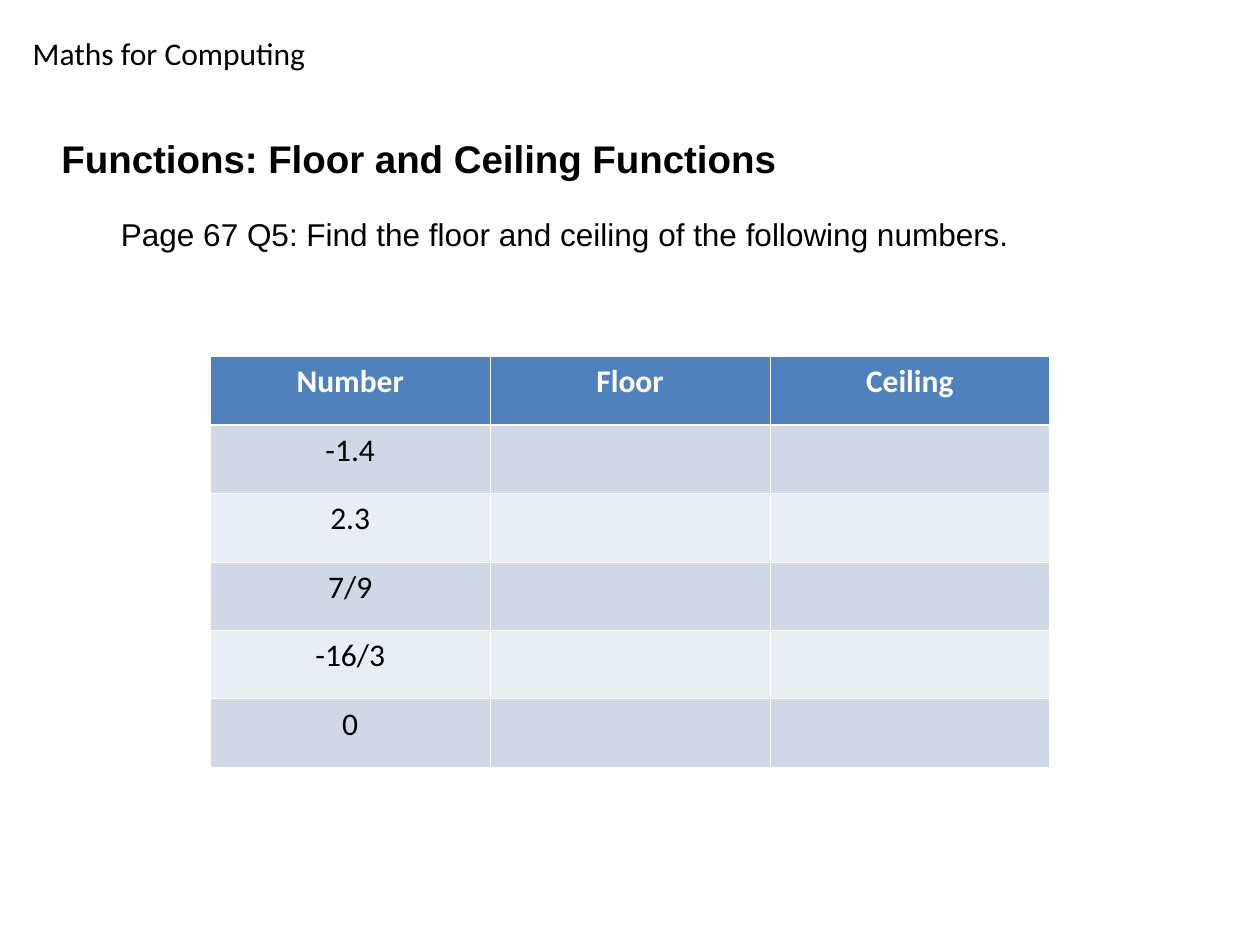
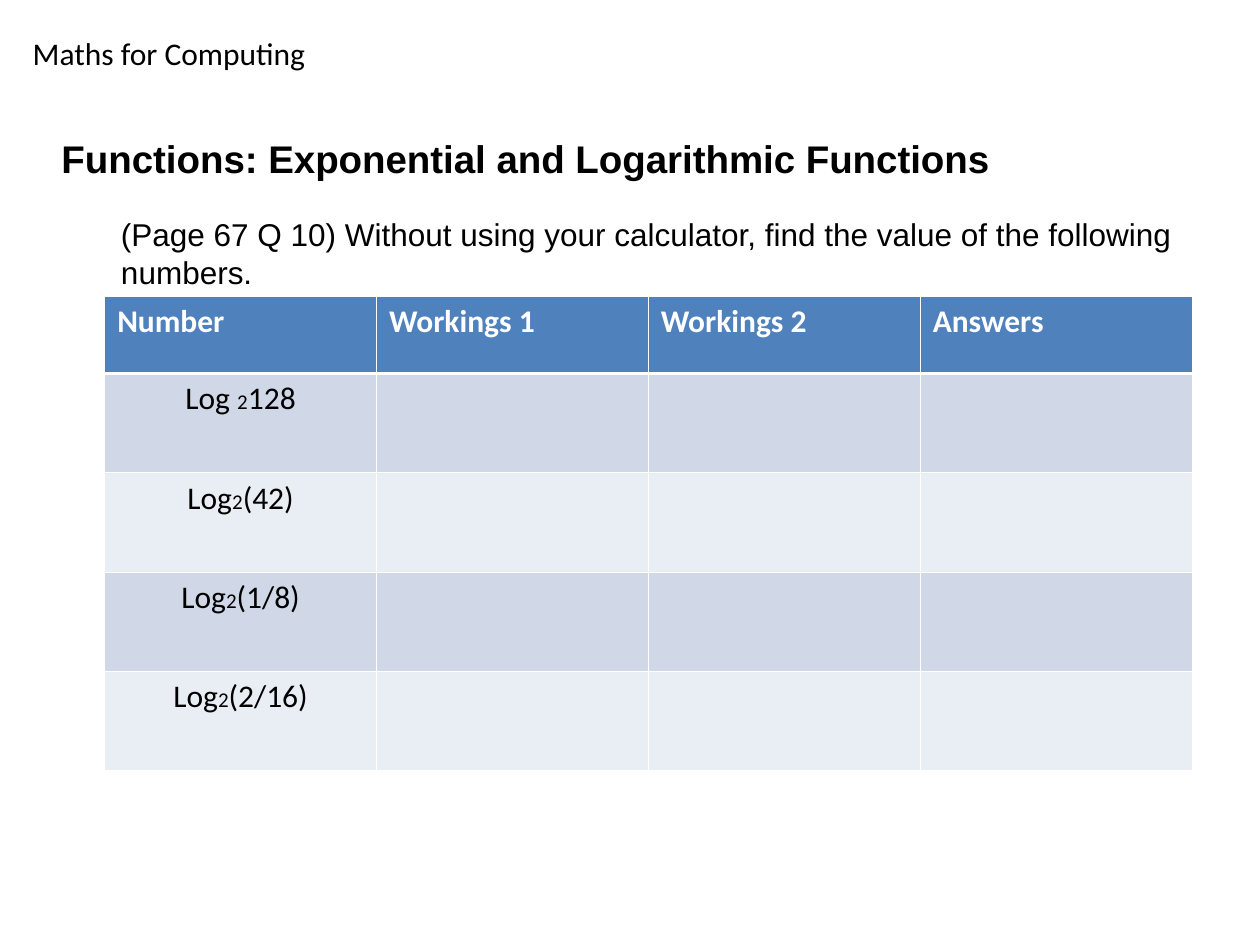
from lxml.etree import SubElement
from pptx import Presentation
from pptx.dml.color import RGBColor
from pptx.enum.text import PP_ALIGN
from pptx.oxml.ns import qn
from pptx.util import Cm, Pt

COLORS = {
    "text": "000000",
    "white": "FFFFFF",
    "header": "4F81BD",
    "odd": "D0D8E8",
    "even": "E9EDF4",
}
THIN, THICK = Pt(0.45), Pt(1.47)
SUBSCRIPT_SIZE = 12


def write(frame, text, font="Calibri", size=18, color="text", bold=False, align=PP_ALIGN.LEFT):
    frame.word_wrap = True
    paragraph = frame.paragraphs[0]
    paragraph.alignment = align
    for position, piece in enumerate(text.split("|")):
        run = paragraph.add_run()
        run.text = piece
        run.font.name = font
        run.font.size = Pt(SUBSCRIPT_SIZE if position % 2 else size)
        run.font.bold = bold
        run.font.color.rgb = RGBColor.from_string(COLORS[color])


def paint(cell, fill, top, bottom):
    properties = cell._tc.get_or_add_tcPr()
    for side, width in (("L", THIN), ("R", THIN), ("T", top), ("B", bottom)):
        line = SubElement(properties, qn(f"a:ln{side}"), w=str(width))
        SubElement(SubElement(line, qn("a:solidFill")), qn("a:srgbClr"), val=COLORS["white"])
    cell.fill.solid()
    cell.fill.fore_color.rgb = RGBColor.from_string(COLORS[fill])


exercises = [
    {
        "title": "Functions: Floor and Ceiling Functions",
        "question": "Page 67 Q5: Find the floor and ceiling of the following numbers.",
        "headings": ["Number", "Floor", "Ceiling"],
        "heading_align": PP_ALIGN.CENTER,
        "numbers": ["-1.4", "2.3", "7/9", "-16/3", "0"],
        "left": 4.24, "top": 7.19, "column": 5.64, "heading_row": 1.38, "row": 1.38,
    },
    {
        "title": "Functions: Exponential and Logarithmic Functions",
        "question": "(Page 67 Q 10) Without using your calculator, "
                    "find the value of the following numbers.",
        "headings": ["Number", "Workings 1", "Workings 2", "Answers"],
        "heading_align": PP_ALIGN.LEFT,
        "numbers": ["Log |2|128", "Log|2|(42)", "Log|2|(1/8)", "Log|2|(2/16)"],
        "left": 2.11, "top": 5.98, "column": 5.48, "heading_row": 1.55, "row": 2,
    },
]

deck = Presentation()
deck.slide_width, deck.slide_height = Cm(25.4), Cm(19.05)

for exercise in exercises:
    slide = deck.slides.add_slide(deck.slide_layouts[6])

    course = slide.shapes.add_textbox(Cm(0.41), Cm(0.56), Cm(17.55), Cm(1.02))
    write(course.text_frame, "Maths for Computing")

    title = slide.shapes.add_textbox(Cm(0.99), Cm(2.59), Cm(20.62), Cm(1.09))
    write(title.text_frame, exercise["title"], font="Arial", size=22, bold=True)

    question = slide.shapes.add_textbox(Cm(0.99), Cm(4.22), Cm(23.24), Cm(14.22))
    question.text_frame.margin_left = Cm(1.45)
    write(question.text_frame, exercise["question"], font="Arial")

    headings, numbers = exercise["headings"], exercise["numbers"]
    answers = slide.shapes.add_table(
        len(numbers) + 1, len(headings),
        Cm(exercise["left"]), Cm(exercise["top"]),
        Cm(exercise["column"] * len(headings)),
        Cm(exercise["heading_row"] + exercise["row"] * len(numbers)),
    ).table
    for column in answers.columns:
        column.width = Cm(exercise["column"])
    for index, row in enumerate(answers.rows):
        row.height = Cm(exercise["row"] if index else exercise["heading_row"])
        fill = ("odd" if index % 2 else "even") if index else "header"
        for cell in row.cells:
            paint(cell, fill, THICK if index == 1 else THIN, THICK if index == 0 else THIN)

    for index, heading in enumerate(headings):
        write(answers.cell(0, index).text_frame, heading, color="white", bold=True,
              align=exercise["heading_align"])
    for index, number in enumerate(numbers, start=1):
        write(answers.cell(index, 0).text_frame, number, align=PP_ALIGN.CENTER)

deck.save("out.pptx")
